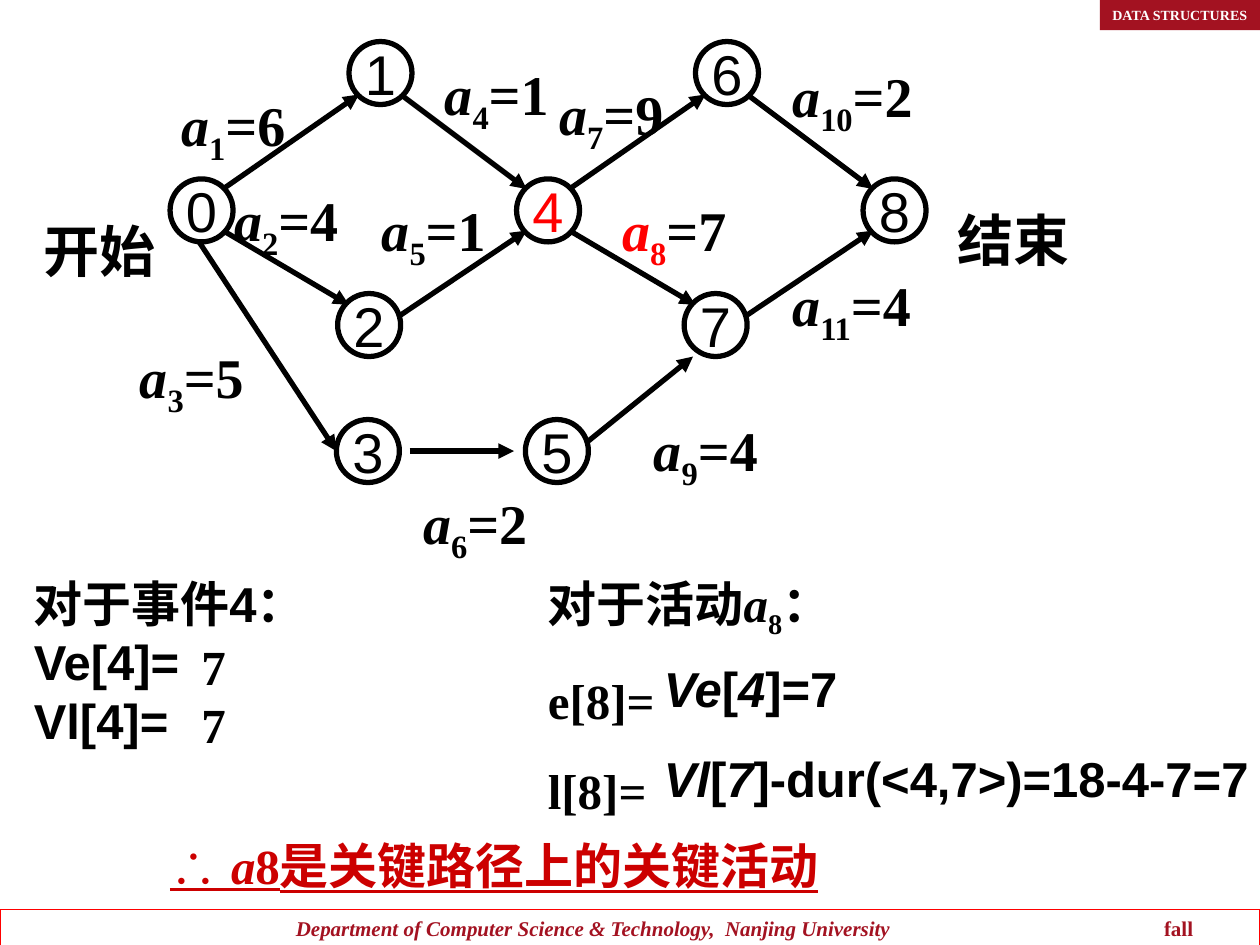
from pptx import Presentation
from pptx.dml.color import RGBColor
from pptx.enum.shapes import MSO_CONNECTOR, MSO_SHAPE
from pptx.enum.text import MSO_ANCHOR, MSO_AUTO_SIZE, PP_ALIGN
from pptx.oxml.ns import qn
from pptx.util import Inches, Pt
from lxml import etree

RECT, OVAL = MSO_SHAPE.RECTANGLE, MSO_SHAPE.OVAL
STRAIGHT = MSO_CONNECTOR.STRAIGHT
TOP, MIDDLE = MSO_ANCHOR.TOP, MSO_ANCHOR.MIDDLE
LEFT, CENTER = PP_ALIGN.LEFT, PP_ALIGN.CENTER
GROW = MSO_AUTO_SIZE.SHAPE_TO_FIT_TEXT
BLACK = RGBColor(0, 0, 0)
WHITE = RGBColor(255, 255, 255)
RED = RGBColor(255, 0, 0)
DARK_RED = RGBColor(0xA3, 0x12, 0x21)
CRIMSON = RGBColor(0xCC, 0, 0)
SERIF, SANS = "Times New Roman", "Arial"

NODE_SIZE = 0.5
NODES = {0: (1.35, 1.42), 1: (2.77, 0.33), 2: (2.68, 2.33), 3: (2.67, 3.33),
         4: (4.1, 1.42), 5: (4.17, 3.33), 6: (5.52, 0.33), 7: (5.43, 2.33),
         8: (6.85, 1.42)}
DIAMOND_SHIFTS = (0, 2.75)
DIAMOND = [(1.77, 1.5, 2.85, 0.75), (1.77, 1.83, 2.77, 2.42),
           (3.18, 0.75, 4.18, 1.5), (3.18, 2.5, 4.18, 1.83)]
LOWER_PATH = [(1.58, 1.92, 2.67, 3.58), (3.25, 3.58, 4.08, 3.58),
              (4.67, 3.5, 5.5, 2.83)]
ACTIVITIES = [(1, 6, 1.34, 0.67), (2, 4, 1.76, 1.42), (3, 5, 1.01, 2.67),
              (4, 1, 3.43, 0.42), (5, 1, 2.93, 1.5), (6, 2, 3.26, 3.83),
              (7, 9, 4.34, 0.58), (8, 7, 4.84, 1.5), (9, 4, 5.09, 3.25),
              (10, 2, 6.19, 0.44), (11, 4, 6.19, 2.1)]
ENDS = [("开始", 0.25, 1.67), ("结束", 7.5, 1.58)]
ITALIC, SUB = {"i": True}, {"sub": True}
NOTES = [
    ((0.17, 4.5, 4.5, 1.5), SANS, 0, True,
     [[("对于事件4：", {})], [("Ve[4]=", {})], [("Vl[4]=", {})]]),
    ((4.25, 4.5, 5.08, 2.05), SERIF, 17.5, True,
     [[("对于活动", {}), ("a", ITALIC), ("8", SUB), ("：", {})],
      [("e[8]=", {})], [("l[8]=", {})]]),
    ((1.5, 5, 1, 1.04), SERIF, 0, True, [[("7", {})], [("7", {})]]),
    ((5.17, 5.18, 4.84, 1.75), SANS, 17.5, False,
     [[("Ve", ITALIC), ("[", {}), ("4", ITALIC), ("]=7", {})],
      [("Vl", ITALIC), ("[", {}), ("7", ITALIC),
       ("]-dur(<4,7>)=18-4-7=7", {})]]),
]
CONCLUSION = [("∴", {"font": SANS}), (" ", {}), ("a", ITALIC),
              ("8是关键路径上的关键活动", {})]
FOOTER = [("\tDepartment of Computer Science & Technology,  Nanjing University",
           ITALIC), ("\tfall", {})]
FOOTER_TABS = (2.25, 9.14)


def add_run(p, text, size, font=SERIF, color=BLACK, b=True, i=False,
            u=False, sub=False):
    r = p.add_run()
    r.text = text
    f = r.font
    f.size, f.name, f.bold, f.italic = Pt(size), font, b, i
    f.color.rgb = color
    if u:
        f.underline = True
    if sub:
        r._r.get_or_add_rPr().set("baseline", "-25000")


def add_text(s, box, paragraphs, size, gap=0, wrap=True, **style):
    tf = s.shapes.add_textbox(*map(Inches, box)).text_frame
    tf.word_wrap, tf.auto_size = wrap, GROW
    for n, runs in enumerate(paragraphs):
        p = tf.add_paragraph() if n else tf.paragraphs[0]
        if n and gap:
            p.space_before = Pt(gap)
        for text, extra in runs:
            add_run(p, text, size, **{**style, **extra})


def add_shape(s, kind, box, fill=None, line=None, width=0.75):
    sp = s.shapes.add_shape(kind, *map(Inches, box))
    sp.shadow.inherit = False
    if fill is None:
        sp.fill.background()
    else:
        sp.fill.solid()
        sp.fill.fore_color.rgb = fill
    if line is None:
        sp.line.fill.background()
    else:
        sp.line.color.rgb, sp.line.width = line, Pt(width)
    return sp


def add_arrow(s, points):
    c = s.shapes.add_connector(STRAIGHT, *map(Inches, points))
    c.line.color.rgb, c.line.width = BLACK, Pt(3)
    ln = c._element.spPr.find(qn("a:ln"))
    etree.SubElement(ln, qn("a:tailEnd"), type="triangle")
    etree.SubElement(c._element.spPr, qn("a:effectLst"))


def add_bars(s):
    footer = add_shape(s, RECT, (0, 7.22, 10, 0.3), line=RED)
    tag = add_shape(s, RECT, (8.73, 0, 1.33, 0.24), fill=DARK_RED)
    for sp in (footer, tag):
        sp.text_frame.vertical_anchor = TOP
        sp.text_frame.paragraphs[0].alignment = LEFT
    p = footer.text_frame.paragraphs[0]
    tabs = etree.SubElement(p._p.get_or_add_pPr(), qn("a:tabLst"))
    for x in FOOTER_TABS:
        etree.SubElement(tabs, qn("a:tab"), pos=str(Inches(x)), algn="l")
    for text, extra in FOOTER:
        add_run(p, text, 12, color=DARK_RED, **extra)
    add_run(tag.text_frame.paragraphs[0], "DATA STRUCTURES", 8, color=WHITE)


def add_network(s):
    for dx in DIAMOND_SHIFTS:
        for x1, y1, x2, y2 in DIAMOND:
            add_arrow(s, (x1 + dx, y1, x2 + dx, y2))
    for points in LOWER_PATH:
        add_arrow(s, points)
    for number, (x, y) in NODES.items():
        sp = add_shape(s, OVAL, (x, y, NODE_SIZE, NODE_SIZE), line=BLACK, width=3)
        tf = sp.text_frame
        tf.word_wrap, tf.vertical_anchor = False, MIDDLE
        p = tf.paragraphs[0]
        p.alignment = CENTER
        add_run(p, str(number), 32, SANS, RED if number == 4 else BLACK, b=False)
    for number, days, x, y in ACTIVITIES:
        color = RED if number == 8 else BLACK
        runs = [("a", {"i": True, "color": color}),
                (str(number), {"sub": True, "color": color}), (f"={days}", {})]
        width = 1.06 if number < 10 else 1.2
        add_text(s, (x, y, width, 0.71), [runs], 32)
    for text, x, y in ENDS:
        add_text(s, (x, y, 1.09, 0.64), [[(text, {})]], 32, wrap=False)


def main():
    prs = Presentation()
    prs.slide_width, prs.slide_height = Inches(10), Inches(7.5)
    s = prs.slides.add_slide(prs.slide_layouts[6])
    add_bars(s)
    add_network(s)
    for box, font, gap, wrap, paragraphs in NOTES:
        add_text(s, box, paragraphs, 28, gap, wrap, font=font)
    add_text(s, (1.25, 6.58, 6, 0.57), [CONCLUSION], 28, color=CRIMSON, u=True)
    prs.save("out.pptx")


if __name__ == "__main__":
    main()
